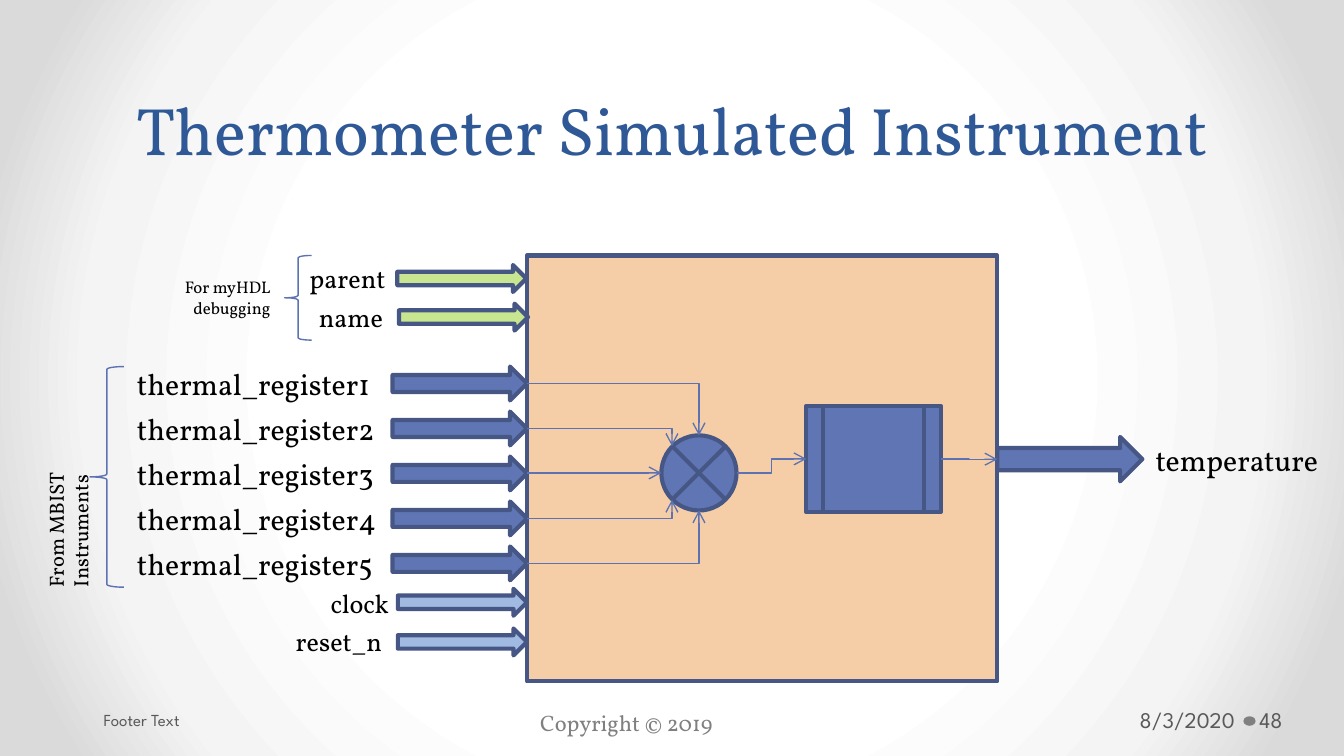
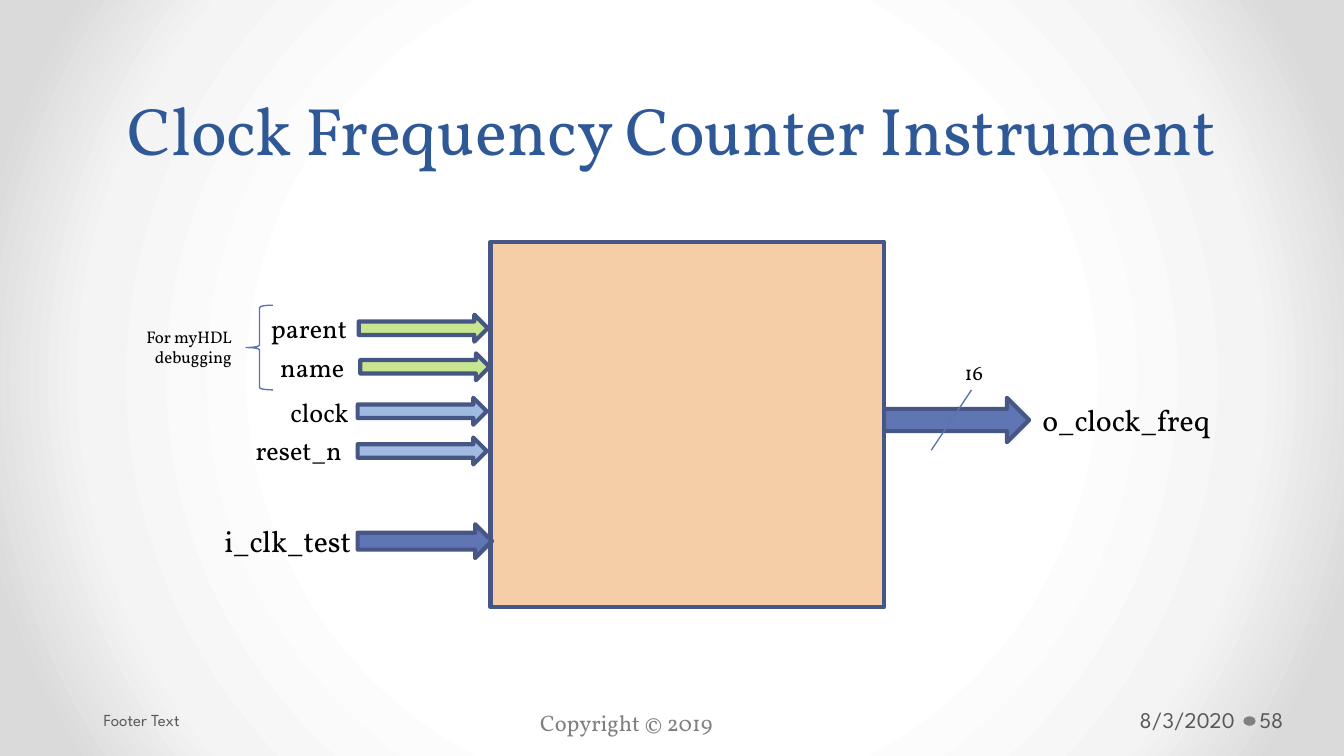
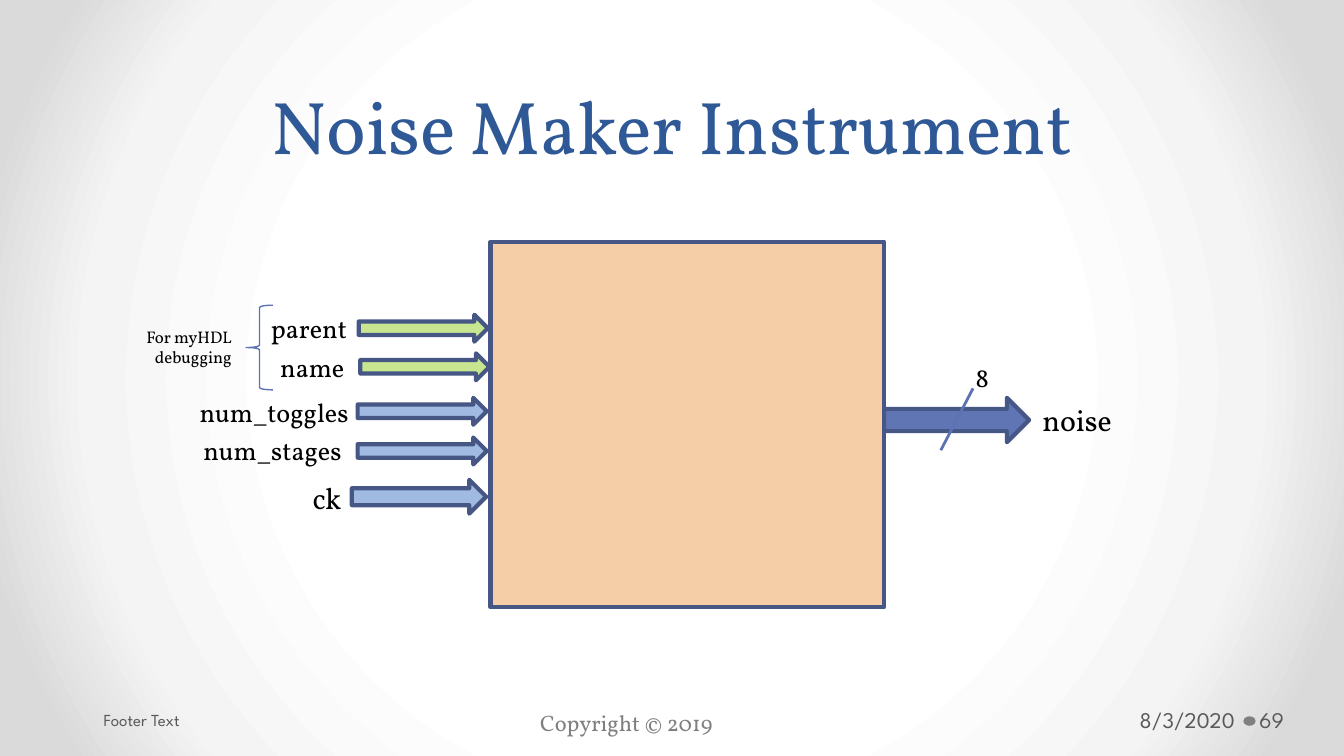
from dataclasses import dataclass
from typing import NamedTuple

from lxml import etree
from pptx import Presentation
from pptx.dml.color import RGBColor
from pptx.enum.shapes import MSO_CONNECTOR, MSO_SHAPE
from pptx.enum.text import MSO_ANCHOR, MSO_AUTO_SIZE, PP_ALIGN
from pptx.oxml.ns import qn
from pptx.util import Cm, Pt

RECT = MSO_SHAPE.RECTANGLE
OVAL = MSO_SHAPE.OVAL
ARROW = MSO_SHAPE.RIGHT_ARROW
BRACE = MSO_SHAPE.LEFT_BRACE
JUNCTION = MSO_SHAPE.FLOWCHART_SUMMING_JUNCTION
PROCESS = MSO_SHAPE.FLOWCHART_PREDEFINED_PROCESS
STRAIGHT, ELBOW = MSO_CONNECTOR.STRAIGHT, MSO_CONNECTOR.ELBOW
LEFT, CENTER, RIGHT = PP_ALIGN.LEFT, PP_ALIGN.CENTER, PP_ALIGN.RIGHT
TOP, MIDDLE, BOTTOM = MSO_ANCHOR.TOP, MSO_ANCHOR.MIDDLE, MSO_ANCHOR.BOTTOM
FIT, NO_FIT = MSO_AUTO_SIZE.SHAPE_TO_FIT_TEXT, MSO_AUTO_SIZE.NONE
TITLE_ONLY = 5


@dataclass(frozen=True)
class Theme:
    serif: str = "Vollkorn"
    sans: str = "League Spartan"
    title: str = "2F5897"
    text: str = "000000"
    footer: str = "595959"
    muted: str = "808080"
    block: str = "F5CEA7"
    data: str = "6076B4"
    debug: str = "C7E68F"
    control: str = "A0BAE1"
    outline: str = "475785"
    wire: str = "5C72B2"
    backdrop: tuple = ((50, "FFFFFF"), (76, "F4F4F4"), (92, "DADADA"))
    title_size: float = 36
    title_leading: float = 58
    signal_size: float = 16
    port_size: float = 14
    footer_size: float = 12
    note_size: float = 11
    small_size: float = 9
    outline_width: float = 2.25
    wire_width: float = 0.75


THEME = Theme()


class Point(NamedTuple):
    x: float
    y: float


class Box(NamedTuple):
    x: float
    y: float
    w: float
    h: float

    @property
    def right(self) -> float:
        return self.x + self.w

    @property
    def bottom(self) -> float:
        return self.y + self.h

    @property
    def mid(self) -> Point:
        return Point(self.x + self.w / 2, self.y + self.h / 2)

    def emu(self) -> tuple:
        return tuple(Cm(v) for v in self)


@dataclass(frozen=True)
class TextStyle:
    size: float = THEME.port_size
    color: str = THEME.text
    font: str = THEME.serif
    align: PP_ALIGN = LEFT
    anchor: MSO_ANCHOR = TOP
    fit: MSO_AUTO_SIZE = FIT
    insets: tuple = (0.25, 0.13, 0.25, 0.13)


SIGNAL = TextStyle(THEME.signal_size)
PORT = TextStyle(align=RIGHT)
NOTE = TextStyle(THEME.small_size, align=RIGHT)
SIDE_NOTE = TextStyle(THEME.note_size, anchor=MIDDLE)
COPYRIGHT = TextStyle(THEME.footer_size, THEME.muted)


class Control(NamedTuple):
    label: str
    width: float


class BusMark(NamedTuple):
    bits: str
    box: Box
    size: float
    start: Point
    end: Point
    line: float


class Footer(NamedTuple):
    text: str
    box: Box
    style: TextStyle


def footer_style(size: float, align: PP_ALIGN, left: float, right: float) -> TextStyle:
    return TextStyle(size, THEME.footer, THEME.sans, align, MIDDLE, NO_FIT,
                     (left, 0.13, right, 0.13))


def footers(number: str) -> list[Footer]:
    size = THEME.footer_size
    return [
        Footer("Copyright © 2019", Box(9.96, 13.28, 7.42, 0.76), COPYRIGHT),
        Footer("8/3/2020", Box(20.96, 13.23, 2.51, 0.76),
               footer_style(size, RIGHT, 0.25, 0.13)),
        Footer("Footer Text", Box(1.83, 13.23, 7.9, 0.76),
               footer_style(THEME.small_size, LEFT, 0.13, 0.25)),
        Footer(number, Box(23.72, 13.23, 1.55, 0.76),
               footer_style(size, LEFT, 0.08, 0.13)),
    ]


def rgb(color: str) -> RGBColor:
    return RGBColor.from_string(color)


def assign(obj, values: dict) -> None:
    for name, value in values.items():
        setattr(obj, name, value)


def write(tf, text: str, style: TextStyle) -> None:
    left, top, right, bottom = (Cm(v) for v in style.insets)
    assign(tf, dict(word_wrap=True, auto_size=style.fit, vertical_anchor=style.anchor,
                    margin_left=left, margin_top=top,
                    margin_right=right, margin_bottom=bottom))
    p = tf.paragraphs[0]
    p.alignment = style.align
    r = p.add_run()
    r.text = text
    assign(r.font, dict(size=Pt(style.size), name=style.font))
    r.font.color.rgb = rgb(style.color)


def add_text(slide, text: str, box: Box, style: TextStyle):
    sp = slide.shapes.add_textbox(*box.emu())
    write(sp.text_frame, text, style)
    return sp


def set_line(sp, color: str, width: float) -> None:
    sp.line.color.rgb = rgb(color)
    sp.line.width = Pt(width)


def add_block(slide, kind: MSO_SHAPE, box: Box, fill: str) -> None:
    sp = slide.shapes.add_shape(kind, *box.emu())
    sp.shadow.inherit = False
    sp.fill.solid()
    sp.fill.fore_color.rgb = rgb(fill)
    set_line(sp, THEME.outline, THEME.outline_width)


def add_brace(slide, box: Box) -> None:
    sp = slide.shapes.add_shape(BRACE, *box.emu())
    sp.shadow.inherit = False
    sp.fill.background()
    set_line(sp, THEME.wire, THEME.wire_width)


def add_line(slide, kind: MSO_CONNECTOR, start: Point, end: Point,
             width: float = THEME.wire_width):
    sp = slide.shapes.add_connector(kind, *(Cm(v) for v in (*start, *end)))
    set_line(sp, THEME.wire, width)
    etree.SubElement(sp.element.spPr, qn("a:effectLst"))
    return sp


def add_wire(slide, start: Point, end: Point, single_bend: bool = False) -> None:
    sp = add_line(slide, ELBOW, start, end)
    sp_pr = sp.element.spPr
    if single_bend:
        sp_pr.find(qn("a:prstGeom")).set("prst", "bentConnector2")
    etree.SubElement(sp_pr.find(qn("a:ln")), qn("a:tailEnd"), type="arrow")


def set_backdrop(master) -> None:
    master.background.fill.solid()
    bg = master.element.find(".//" + qn("p:bgPr"))
    grad = etree.Element(qn("a:gradFill"), rotWithShape="1")
    stops = etree.SubElement(grad, qn("a:gsLst"))
    for pos, color in THEME.backdrop:
        gs = etree.SubElement(stops, qn("a:gs"), pos=str(pos * 1000))
        etree.SubElement(gs, qn("a:srgbClr"), val=color)
    circle = etree.SubElement(grad, qn("a:path"), {"path": "circle"})
    etree.SubElement(circle, qn("a:fillToRect"), dict.fromkeys("ltrb", "50000"))
    bg.replace(bg[0], grad)


def new_slide(prs, title: str, number: str, size: float = THEME.title_size):
    slide = prs.slides.add_slide(prs.slide_layouts[TITLE_ONLY])
    sp = slide.shapes.title
    left, top, width, height = Box(1.27, 0, 22.86, 3.33).emu()
    assign(sp, dict(left=left, top=top, width=width, height=height))
    write(sp.text_frame, title,
          TextStyle(size, THEME.title, align=CENTER, anchor=BOTTOM, fit=NO_FIT))
    sp.text_frame.paragraphs[0].line_spacing = Pt(THEME.title_leading)
    dot = slide.shapes.add_shape(OVAL, *Box(23.5, 13.54, 0.23, 0.18).emu())
    dot.shadow.inherit = False
    dot.fill.solid()
    dot.fill.fore_color.rgb = rgb(THEME.muted)
    dot.line.fill.background()
    for item in footers(number):
        add_text(slide, *item)
    return slide


def small_arrow(slide, x: float, y: float, fill: str) -> None:
    add_block(slide, ARROW, Box(x, y, 2.44, 0.51), fill)


def input_arrow(slide, x: float, y: float, fill: str = THEME.data) -> Box:
    box = Box(x, y, 2.54, 0.64)
    add_block(slide, ARROW, box, fill)
    return box


def debug_inputs(slide, x: float, y: float) -> None:
    for label, dx, dy, arrow_dx, arrow_dy in (
        ("parent", 0, 0, 2.13, 0.18),
        ("name", -0.05, 0.74, 2.16, 0.91),
    ):
        add_text(slide, label, Box(x + dx, y + dy, 2.16, 0.86), PORT)
        small_arrow(slide, x + arrow_dx, y + arrow_dy, THEME.debug)
    add_brace(slide, Box(x, y, 0.51, 1.6))
    add_text(slide, "For myHDL debugging", Box(x - 2.41, y + 0.28, 2.39, 1.02), NOTE)


def control_inputs(slide, x: float, y: float, controls: list[Control]) -> None:
    for i, (label, width) in enumerate(controls):
        right = x + 0.08 - 0.13 * i
        add_text(slide, label, Box(right - width, y - 0.15 + 0.71 * i, width, 0.86), PORT)
        small_arrow(slide, x, y + 0.75 * i, THEME.control)


def output(slide, x: float, y: float, label: str, width: float) -> None:
    box = Box(x, y, 2.74, 0.84)
    add_block(slide, ARROW, box, THEME.data)
    add_text(slide, label, Box(box.right, y - 0.05, width, 0.94), SIGNAL)


def thermometer(prs) -> None:
    slide = new_slide(prs, "Thermometer Simulated Instrument", "48")
    body = Box(9.96, 4.83, 8.89, 8.05)
    junction = Box(12.5, 8.23, 1.42, 1.42)
    process = Box(15.24, 7.67, 2.54, 2.01)
    add_block(slide, RECT, body, THEME.block)
    output(slide, body.right, 8.26, "temperature", 3.81)
    debug_inputs(slide, 5.38, 4.83)
    control_inputs(slide, 7.52, 11.13, [Control("clock", 1.73), Control("reset_n", 2.16)])
    add_block(slide, JUNCTION, junction, THEME.data)
    add_block(slide, PROCESS, process, THEME.data)

    cx, cy = junction.mid
    entries = [
        Point(cx, junction.y),
        Point(junction.x + 0.2, junction.y + 0.2),
        Point(junction.x, cy),
        Point(junction.x + 0.2, junction.bottom - 0.2),
        Point(cx, junction.bottom),
    ]
    for i, entry in enumerate(entries):
        y = 6.93 + 0.85 * i
        arrow = input_arrow(slide, 7.42, y)
        height = 1.63 if i else 0.94
        add_text(slide, f"thermal_register{i + 1}", Box(2.34, y - 0.15, 5.18, height), SIGNAL)
        straight = entry.x == junction.x
        start = Point(body.x, entry.y if straight else arrow.mid.y)
        add_wire(slide, start, entry, single_bend=not straight)
    add_wire(slide, Point(junction.right, cy), Point(process.x, process.mid.y))
    add_wire(slide, Point(process.right, process.mid.y), Point(body.right, 8.68))

    add_brace(slide, Box(1.7, 6.93, 0.64, 4.17))
    sp = add_text(slide, "From MBIST Instruments", Box(0.56, 6.76, 1.45, 4.47), SIDE_NOTE)
    sp.element.txBody.bodyPr.set("vert", "vert270")


def bus_instrument(slide, controls: list[Control], label: str, mark: BusMark) -> None:
    body = Box(9.27, 4.57, 7.44, 6.91)
    add_block(slide, RECT, body, THEME.block)
    debug_inputs(slide, 4.65, 5.77)
    control_inputs(slide, 6.76, 7.52, controls)
    output(slide, body.right, 7.52, label, 4.88)
    add_line(slide, STRAIGHT, mark.start, mark.end, mark.line)
    add_text(slide, mark.bits, mark.box, TextStyle(mark.size))


def clock_counter(prs) -> None:
    slide = new_slide(prs, "Clock Frequency Counter Instrument", "58")
    bus_instrument(
        slide, [Control("clock", 1.73), Control("reset_n", 2.16)], "o_clock_freq",
        BusMark("16", Box(17.98, 6.68, 1.22, 0.74), THEME.note_size,
                Point(18.36, 7.37), Point(17.6, 8.51), THEME.wire_width))
    input_arrow(slide, 6.76, 9.91)
    add_text(slide, "i_clk_test", Box(3.99, 9.75, 5.18, 0.94), SIGNAL)


def noise_maker(prs) -> None:
    slide = new_slide(prs, "Noise Maker Instrument", "69", 40)
    bus_instrument(
        slide, [Control("num_toggles", 4.06), Control("num_stages", 3.3)], "noise",
        BusMark("8", Box(18.19, 6.71, 1.7, 0.86), THEME.port_size,
                Point(18.39, 7.34), Point(17.78, 8.51), 2 * THEME.wire_width))
    input_arrow(slide, 6.65, 9.07, THEME.control)
    add_text(slide, "ck", Box(5.66, 8.94, 1.4, 0.94), SIGNAL)


def main() -> None:
    prs = Presentation()
    assign(prs, dict(slide_width=Cm(25.4), slide_height=Cm(14.29)))
    set_backdrop(prs.slide_master)
    for build in (thermometer, clock_counter, noise_maker):
        build(prs)
    prs.save("out.pptx")


if __name__ == "__main__":
    main()
